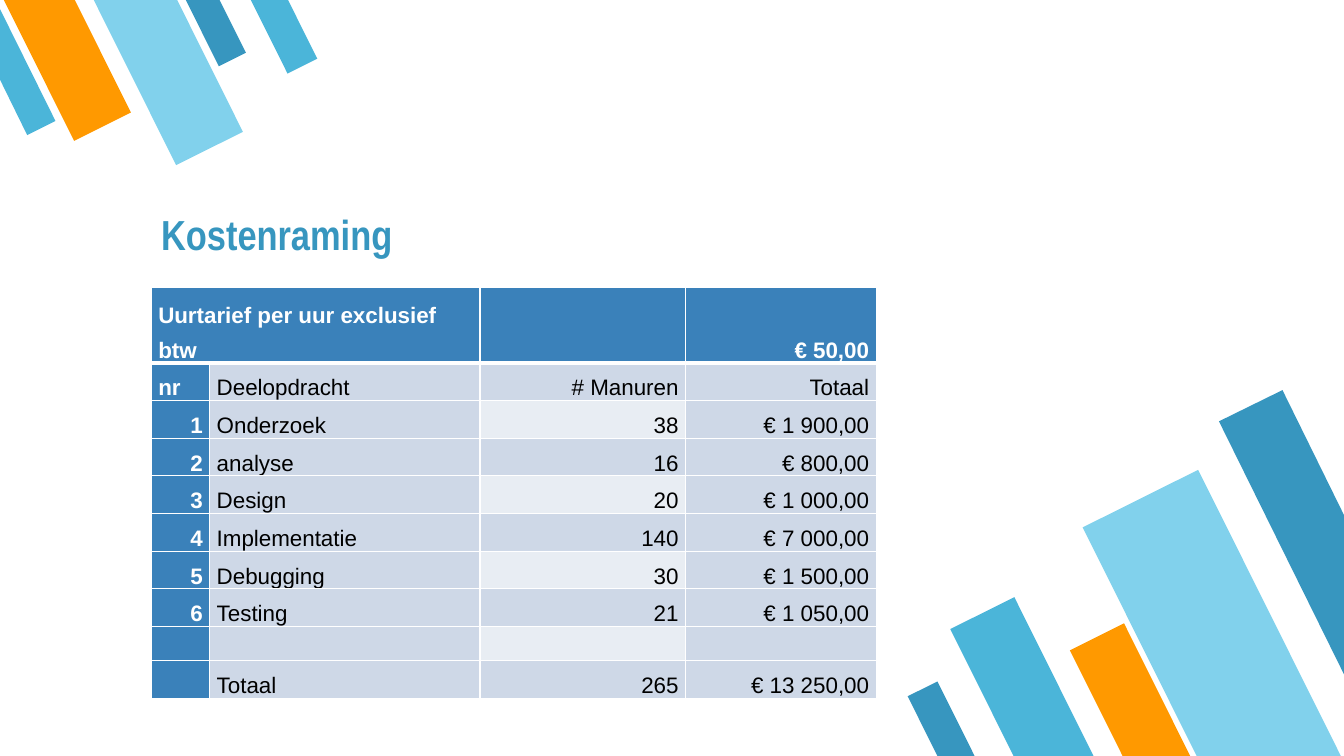
from lxml import etree
from pptx import Presentation
from pptx import util as u
from pptx.dml.color import RGBColor
from pptx.enum import shapes, text
from pptx.oxml import ns

NAVY, SKY, PALE, GOLD = "3796BF", "4BB5D9", "81D1EC", "FF9900"
HEAD, BAND, LIGHT = "3A81BA", "CED8E7", "E8EDF3"
WHITE, BLACK = "FFFFFF", "000000"

LOWER = [
    (9.78, 5.99, 0.71, 1.76, SKY),
    (11.38, 4.78, 1.28, 3.18, PALE),
    (10.91, 6.24, 0.6, 1.48, GOLD),
    (9.17, 6.79, 0.33, 0.83, NAVY),
]
UPPER = [
    (1.99, -0.11, 0.3, 0.74, NAVY),
    (0.35, -0.24, 0.63, 1.58, GOLD),
    (1.3, -0.26, 0.74, 1.83, PALE),
    (2.65, -0.13, 0.33, 0.83, SKY),
]
COSTS = [
    ("Uurtarief per uur exclusief btw", "", "", "€ 50,00"),
    ("nr", "Deelopdracht", "# Manuren", "Totaal"),
    ("1", "Onderzoek", "38", "€ 1 900,00"),
    ("2", "analyse", "16", "€ 800,00"),
    ("3", "Design", "20", "€ 1 000,00"),
    ("4", "Implementatie", "140", "€ 7 000,00"),
    ("5", "Debugging", "30", "€ 1 500,00"),
    ("6", "Testing", "21", "€ 1 050,00"),
    ("", "", "", ""),
    ("", "Totaal", "265", "€ 13 250,00"),
]
COLS = [0.58, 2.68, 2.04, 1.89]
TOP, GAP, TALL = 0.75, 0.34, 4.08
ROW = (TALL - TOP - GAP) / 8
ROWS = [TOP] + [ROW] * 7 + [GAP, ROW]


def color(code):
    return RGBColor.from_string(code)


class Deck:
    font = "Arial"
    title = "Arial Narrow"

    def __init__(self, show):
        self.slide = show.slides.add_slide(show.slide_layouts[6])
        self.shapes = self.slide.shapes

    def paint(self, shape, fill):
        shape.shadow.inherit = False
        shape.fill.solid()
        shape.fill.fore_color.rgb = color(fill)
        shape.line.fill.background()

    def bar(self, x, y, w, h, fill, turn):
        kind = shapes.MSO_SHAPE.FLOWCHART_MANUAL_INPUT
        box = map(u.Inches, (x, y, w, h))
        shape = self.shapes.add_shape(kind, *box)
        shape.rotation = turn
        shape._element.spPr.find(ns.qn("a:xfrm")).set("flipH", "1")
        self.paint(shape, fill)

    def outline(self, points, fill):
        spots = [(u.Inches(x), u.Inches(y)) for x, y in points]
        form = self.shapes.build_freeform(*spots[0])
        form.add_line_segments(spots[1:], close=True)
        self.paint(form.convert_to_shape(), fill)

    def style(self, para, font, size, ink, bold):
        for run in para.runs:
            run.font.name = font
            run.font.size = u.Pt(size)
            run.font.bold = bold
            run.font.color.rgb = color(ink)

    def heading(self, words, x, y, w, h):
        box = self.shapes.add_textbox(*map(u.Inches, (x, y, w, h)))
        frame = box.text_frame
        frame.word_wrap = True
        frame.vertical_anchor = text.MSO_ANCHOR.BOTTOM
        frame.margin_left = frame.margin_right = u.Inches(0.1)
        frame.margin_top = frame.margin_bottom = u.Inches(0.1)
        frame.text = words
        self.style(frame.paragraphs[0], self.title, 30, NAVY, True)

    def border(self, cell, row):
        props = cell._tc.get_or_add_tcPr()
        thick = {(0, "B"), (1, "T")}
        for spot, side in enumerate("LRTB"):
            width = 3 if (row, side) in thick else 1
            line = etree.Element(ns.qn("a:ln" + side), w=str(u.Pt(width)))
            fill = etree.SubElement(line, ns.qn("a:solidFill"))
            etree.SubElement(fill, ns.qn("a:srgbClr"), val=WHITE)
            props.insert(spot, line)

    def cell(self, cell, words, row, col):
        dark = row == 0 or col == 0
        light = col == 2 and row % 2 == 0
        cell.fill.solid()
        cell.fill.fore_color.rgb = color(HEAD if dark else LIGHT if light else BAND)
        self.border(cell, row)
        cell.vertical_anchor = text.MSO_ANCHOR.BOTTOM
        cell.margin_left = cell.margin_right = u.Inches(0.07)
        cell.margin_top = cell.margin_bottom = 0
        if not words:
            return
        cell.text_frame.text = words
        para = cell.text_frame.paragraphs[0]
        para.line_spacing = 1.4
        if col > 1 or words.isdigit():
            para.alignment = text.PP_ALIGN.RIGHT
        self.style(para, self.font, 16, WHITE if dark else BLACK, dark)

    def table(self, data, x, y):
        box = map(u.Inches, (x, y, sum(COLS), TALL))
        grid = self.shapes.add_table(len(data), len(COLS), *box).table
        for col, width in zip(grid.columns, COLS):
            col.width = u.Inches(width)
        for row, height in zip(grid.rows, ROWS):
            row.height = u.Inches(height)
        grid.cell(0, 0).merge(grid.cell(0, 1))
        for r, line in enumerate(data):
            for c, words in enumerate(line):
                self.cell(grid.cell(r, c), words, r, c)


def main():
    show = Presentation()
    show.slide_width, show.slide_height = u.Inches(13.33), u.Inches(7.5)
    deck = Deck(show)
    for bar in LOWER:
        deck.bar(*bar, turn=153.5)
    deck.outline([(12.72, 3.87), (12.09, 4.18), (13.33, 6.69), (13.33, 5.11)], NAVY)
    for bar in UPPER:
        deck.bar(*bar, turn=333.5)
    deck.outline([(0.27, 1.34), (0.55, 1.2), (0, 0.09), (0, 0.79)], SKY)
    deck.heading("Kostenraming", 1.5, 1.68, 8.4, 0.99)
    deck.table(COSTS, 1.5, 2.85)
    show.save("out.pptx")


if __name__ == "__main__":
    main()
